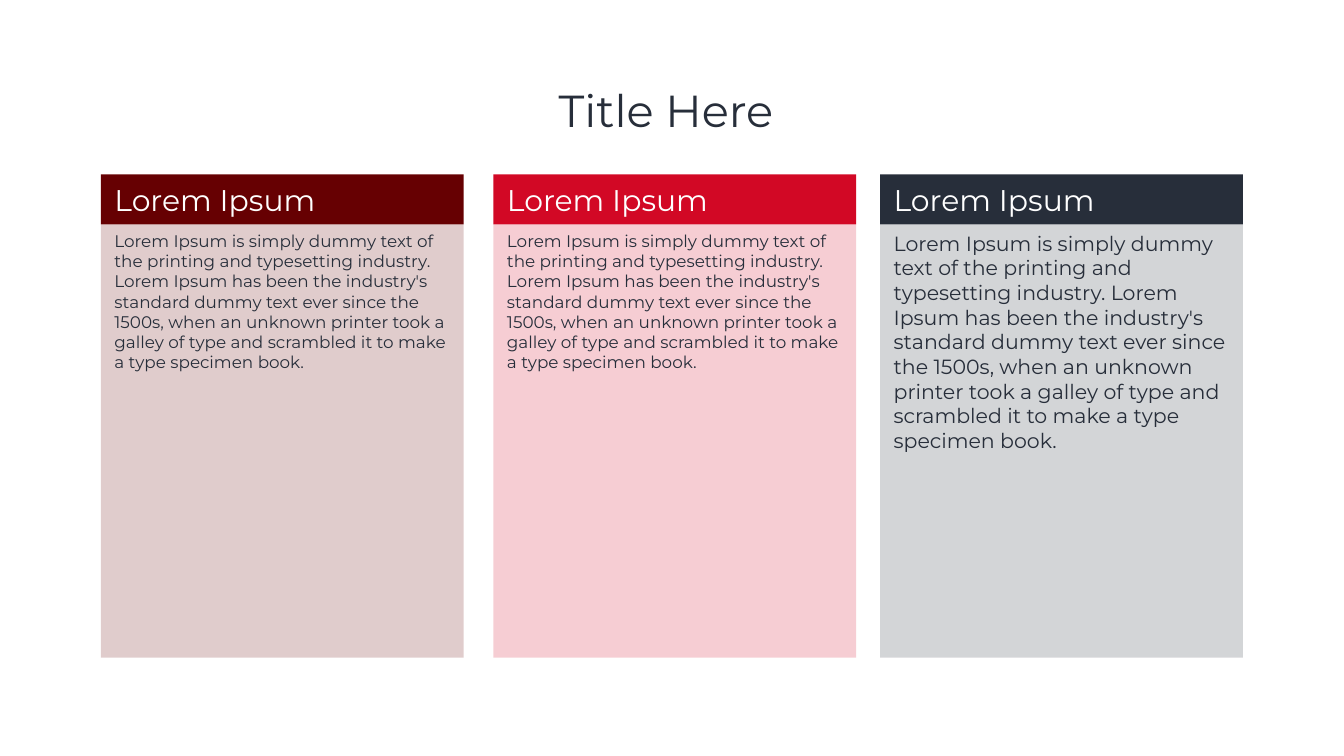
from dataclasses import dataclass

from lxml.etree import SubElement
from pptx import Presentation
from pptx.dml.color import RGBColor
from pptx.enum.shapes import MSO_SHAPE
from pptx.enum.text import MSO_ANCHOR, MSO_AUTO_SIZE, PP_ALIGN
from pptx.oxml.ns import qn
from pptx.util import Inches, Pt


@dataclass(frozen=True)
class Theme:
    """Hold the colours, font and type sizes of the slide."""

    font: str = "Montserrat"
    maroon: str = "660002"
    red: str = "D20825"
    navy: str = "272E3A"
    white: str = "FFFFFF"
    title_size: float = 64
    heading_size: float = 42.7
    body_size: float = 24
    large_body_size: float = 29.3
    panel_opacity: int = 20


class SlideBuilder:
    """Draw styled elements placed in percent of the slide's size."""

    def __init__(self, presentation, theme):
        self.theme = theme
        self.width = presentation.slide_width
        self.height = presentation.slide_height
        self.slide = presentation.slides.add_slide(presentation.slide_layouts[5])

    def box(self, left, top, width, height):
        """Turn percentages into lengths."""
        return (
            int(self.width * left / 100),
            int(self.height * top / 100),
            int(self.width * width / 100),
            int(self.height * height / 100),
        )

    def set_text(self, shape, text, size, color, alignment, anchor):
        """Set and format the only paragraph of a shape."""
        frame = shape.text_frame
        frame.text = text
        frame.word_wrap = True
        frame.vertical_anchor = anchor
        paragraph = frame.paragraphs[0]
        paragraph.alignment = alignment
        font = paragraph.runs[0].font
        font.name = self.theme.font
        font.size = Pt(size)
        font.color.rgb = RGBColor.from_string(color)

    def title(self, text, *place):
        """Move and format the title placeholder."""
        shape = self.slide.shapes.title
        shape.left, shape.top, shape.width, shape.height = self.box(*place)
        self.set_text(shape, text, self.theme.title_size, self.theme.navy,
                      PP_ALIGN.CENTER, MSO_ANCHOR.MIDDLE)
        shape.text_frame.auto_size = MSO_AUTO_SIZE.NONE
        shape.text_frame.paragraphs[0].line_spacing = 0.9

    def rectangle(self, place, fill, text, size, color, anchor):
        """Add a filled rectangle with left-aligned text."""
        shape = self.slide.shapes.add_shape(MSO_SHAPE.RECTANGLE, *self.box(*place))
        shape.shadow.inherit = False
        shape.fill.solid()
        shape.fill.fore_color.rgb = RGBColor.from_string(fill)
        shape.line.fill.background()
        frame = shape.text_frame
        frame.margin_left = frame.margin_right = Inches(0.27)
        frame.margin_top = frame.margin_bottom = Inches(0.13)
        self.set_text(shape, text, size, color, PP_ALIGN.LEFT, anchor)
        return shape

    def heading(self, text, fill, *place):
        """Add a solid heading bar."""
        shape = self.rectangle(place, fill, text, self.theme.heading_size,
                               self.theme.white, MSO_ANCHOR.BOTTOM)
        shape.text_frame.auto_size = MSO_AUTO_SIZE.SHAPE_TO_FIT_TEXT

    def panel(self, text, fill, size, *place):
        """Add a translucent panel of body text."""
        shape = self.rectangle(place, fill, text, size,
                               self.theme.navy, MSO_ANCHOR.TOP)
        color = shape.element.spPr.find(qn("a:solidFill"))[0]
        SubElement(color, qn("a:alpha"), val=str(self.theme.panel_opacity * 1000))


def main():
    """Build and save the three-column slide."""
    presentation = Presentation()
    presentation.slide_width = Inches(26.67)
    presentation.slide_height = Inches(15)
    theme = Theme()
    builder = SlideBuilder(presentation, theme)
    builder.title("Title Here ", 6.86, 5.33, 86.24, 19.33)

    body = (
        "Lorem Ipsum is simply dummy text of the printing and typesetting "
        "industry. Lorem Ipsum has been the industry's standard dummy text "
        "ever since the 1500s, when an unknown printer took a galley of type "
        "and scrambled it to make a type specimen book."
    )
    columns = (
        (7.5, theme.maroon, theme.body_size),
        (36.71, theme.red, theme.body_size),
        (65.48, theme.navy, theme.large_body_size),
    )
    column_width, top, heading_height, panel_height = 27, 23.07, 6.6, 57.33
    for left, color, size in columns:
        builder.heading("Lorem Ipsum", color, left, top, column_width, heading_height)
        builder.panel(body, color, size, left, top + heading_height,
                      column_width, panel_height)

    presentation.save("out.pptx")


if __name__ == "__main__":
    main()
